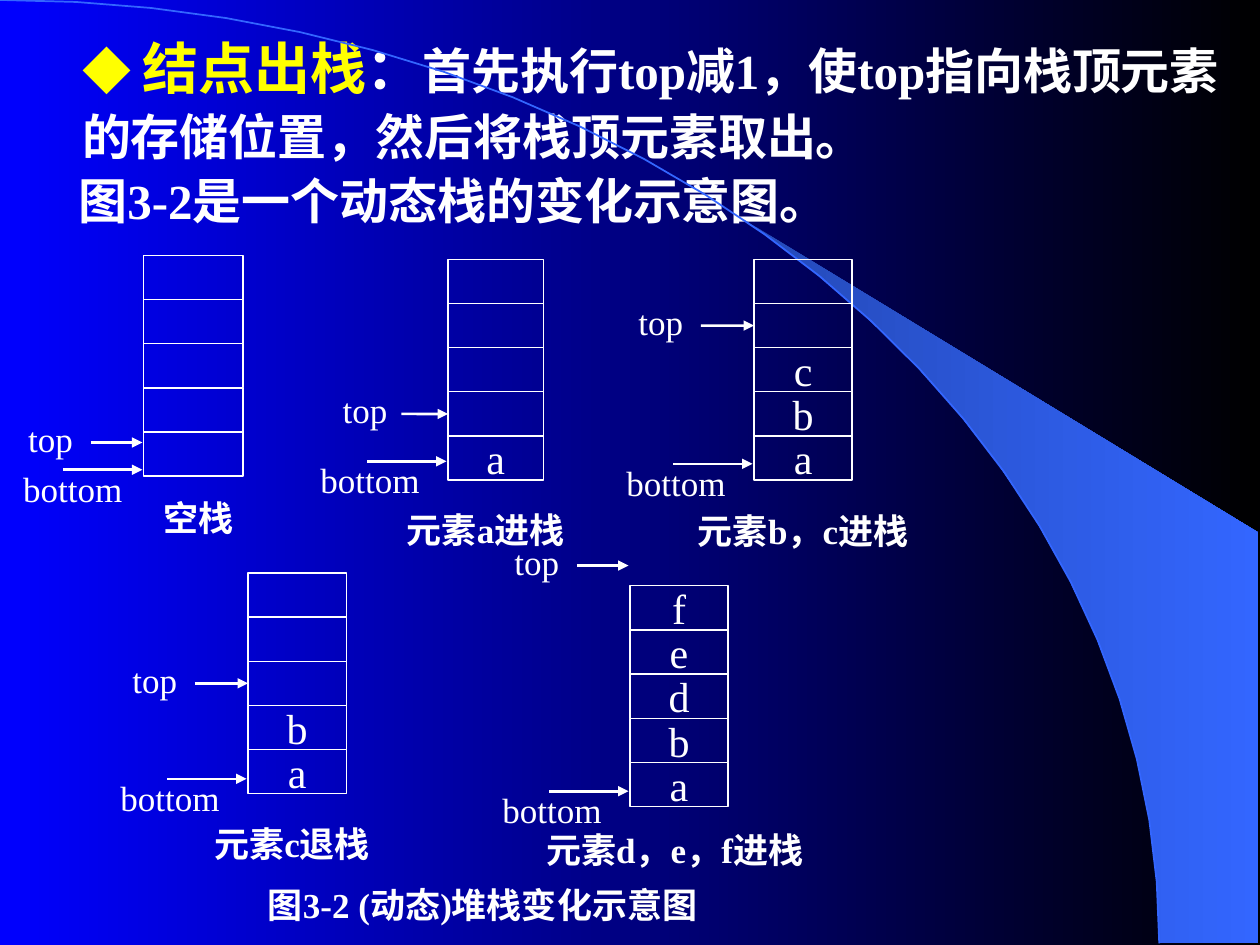
import math
from dataclasses import dataclass
from typing import Optional

import pptx
import pptx.dml.color
import pptx.enum.shapes
import pptx.enum.text
import pptx.oxml
import pptx.oxml.ns
import pptx.util
from pptx.util import Cm, Pt

ALIGN = pptx.enum.text.PP_ALIGN
ANCHOR = pptx.enum.text.MSO_ANCHOR
SHAPES = pptx.enum.shapes.MSO_SHAPE


@dataclass(frozen=True)
class Theme:
    latin: str = "Times New Roman"
    cjk: str = "Noto Sans CJK SC"
    white: str = "FFFFFF"
    yellow: str = "FFFF00"
    blue: str = "0000FF"
    black: str = "000000"
    arc: str = "3366FF"
    arc_dark: str = "2449B6"
    term: int = 32
    body: int = 28
    cell: int = 24
    label: int = 20


@dataclass(frozen=True)
class Stack:
    """One stage of the stack; lengths in cm, items from the bottom up."""
    left: float
    bottom: float
    width: float
    items: str
    bottom_y: float
    caption: str
    caption_x: float
    caption_y: float
    caption_w: float
    top_cell: Optional[int] = None
    top_y: float = 0
    top_start: float = 1.07
    top_label: float = 1.88
    bottom_label: float = 1.57


T = Theme()
CELLS, CELL_H = 5, 0.89
LABEL_H = 1.0

STACKS = [
    Stack(2.9, 9.6, 2.0, "", 9.47, "空栈", 4.0, 10.43, 2.0,
          top_y=8.92, bottom_label=1.43),
    Stack(9.03, 9.68, 1.93, "a", 9.3, "元素a进栈", 9.79, 10.68, 4.2,
          top_cell=1, top_start=0.94, top_label=1.67),
    Stack(15.2, 9.68, 1.98, "abc", 9.35, "元素b，c进栈", 16.19, 10.69, 5.3, top_cell=3),
    Stack(5.0, 16.0, 1.98, "ab", 15.7, "元素c退栈", 5.89, 17.0, 3.8, top_cell=2),
    Stack(12.7, 16.26, 1.98, "abdef", 15.95, "元素d，e，f进栈", 13.6, 17.13, 6.6,
          top_y=11.4),
]


def rgb(color: str):
    return pptx.dml.color.RGBColor.from_string(color)


def format_run(r, size: int, color: str = T.white, bold: bool = False, latin: str = T.latin):
    r.font.size, r.font.bold, r.font.name = Pt(size), bold, latin
    r.font.color.rgb = rgb(color)
    ea = pptx.oxml.parse_xml(f'<a:ea {pptx.oxml.ns.nsdecls("a")} typeface="{T.cjk}"/>')
    r.font._element.find(pptx.oxml.ns.qn("a:latin")).addnext(ea)


def set_gradient(fill, start: str, end: str):
    fill.gradient()
    fill.gradient_angle = 0
    for stop, color, pos in zip(fill.gradient_stops, (start, end), (0, 1)):
        stop.color.rgb, stop.position = rgb(color), pos


def set_text(sp, text: str, size: int, bold: bool = False):
    tf = sp.text_frame
    tf.text, tf.word_wrap, tf.vertical_anchor = text, True, ANCHOR.MIDDLE
    p = tf.paragraphs[0]
    p.alignment = ALIGN.CENTER
    format_run(p.runs[0], size, bold=bold)


def add_label(s, text: str, center: float, top: float, width: float, bold: bool = False):
    sp = s.shapes.add_textbox(Cm(center - width / 2), Cm(top), Cm(width), Cm(LABEL_H))
    sp.text_frame.margin_left = sp.text_frame.margin_right = 0
    set_text(sp, text, T.label, bold)


def add_arrow(s, x1: float, x2: float, y: float, target=None):
    c = s.shapes.add_connector(pptx.enum.shapes.MSO_CONNECTOR.STRAIGHT,
                               Cm(x1), Cm(y), Cm(x2), Cm(y))
    if target is not None:
        c.end_connect(target, 1)
    c.line.color.rgb, c.line.width = rgb(T.white), Pt(1.5)
    ns = pptx.oxml.ns.nsdecls("a")
    c.line._get_or_add_ln().append(pptx.oxml.parse_xml(f'<a:tailEnd {ns} type="triangle"/>'))
    c._element.spPr.append(pptx.oxml.parse_xml(f"<a:effectLst {ns}/>"))


def add_cell(s, k: Stack, i: int):
    sp = s.shapes.add_shape(SHAPES.RECTANGLE, Cm(k.left), Cm(k.bottom - (i + 1) * CELL_H),
                            Cm(k.width), Cm(CELL_H))
    sp.shadow.inherit = False
    sp.fill.background()
    sp.line.color.rgb, sp.line.width = rgb(T.white), Pt(0.75)
    if i < len(k.items):
        set_text(sp, k.items[i], T.cell)
    return sp


def add_stack(s, k: Stack):
    cells = [add_cell(s, k, i) for i in range(CELLS)]
    # Top pointer, joined to its cell when it points at the middle of one
    target, y = None, k.top_y
    if k.top_cell is not None:
        target, y = cells[k.top_cell], k.bottom - (k.top_cell + 0.5) * CELL_H
    add_arrow(s, k.left - k.top_start, k.left - 0.03, y, target)
    add_label(s, "top", k.left - k.top_label, y - 0.58, 1.4)
    # Bottom pointer and caption
    add_arrow(s, k.left - 1.63, k.left - 0.03, k.bottom_y)
    add_label(s, "bottom", k.left - k.bottom_label, k.bottom_y - 0.13, 2.2)
    add_label(s, k.caption, k.caption_x, k.caption_y - LABEL_H / 2, k.caption_w, True)


def arc_points(start: float, steps: int):
    """Quarter ellipse from the given angle down to the slide's bottom edge."""
    rx, ry = 23.37, 19.02
    angles = [start + (math.pi / 2 - start) * i / steps for i in range(steps + 1)]
    return [(Cm(rx * math.sin(a)), Cm(ry * (1 - math.cos(a)))) for a in angles]


def add_outline(s, points, close: bool):
    fb = s.shapes.build_freeform(*points[0])
    fb.add_line_segments(points[1:], close=close)
    sp = fb.convert_to_shape()
    sp.shadow.inherit = False
    return sp


def add_backdrop(s):
    set_gradient(s.background.fill, T.blue, T.black)
    corners = [(Cm(25.37), Cm(19.02)), (Cm(25.37), Cm(10.74))]
    wedge = add_outline(s, arc_points(math.asin(0.64), 13) + corners, True)
    set_gradient(wedge.fill, T.arc_dark, T.arc)
    wedge.line.fill.background()
    arc = add_outline(s, arc_points(0, 24), False)
    arc.fill.background()
    arc.line.color.rgb, arc.line.width = rgb(T.arc), Pt(1)


def fill_body(body):
    body.left, body.top, body.width, body.height = Cm(0.43), Cm(0.43), Cm(24.49), Cm(4.5)
    tf = body.text_frame
    tf.word_wrap, tf.vertical_anchor, tf.margin_top = True, ANCHOR.TOP, Cm(0.32)
    paragraphs = [
        (0.97, [("◆ ", T.body, T.yellow, T.cjk), ("结点出栈", T.term, T.yellow, T.latin),
                ("：", T.term, T.white, T.latin),
                ("首先执行top减1，使top指向栈顶元素的存储位置，然后将栈顶元素取出。",
                 T.body, T.white, T.latin)]),
        (0.9, [("图3-2是一个动态栈的变化示意图。", T.body, T.white, T.latin)]),
    ]
    for i, (margin, runs) in enumerate(paragraphs):
        p = tf.add_paragraph() if i else tf.paragraphs[0]
        pPr = p._p.get_or_add_pPr()
        pPr.set("marL", str(Cm(margin)))
        pPr.set("indent", "0")
        pPr.append(pptx.oxml.parse_xml(f'<a:buNone {pptx.oxml.ns.nsdecls("a")}/>'))
        p.line_spacing, p.space_before = Pt(36.5), Pt(0)
        for text, size, color, latin in runs:
            r = p.add_run()
            r.text = text
            format_run(r, size, color, True, latin)


def main():
    prs = pptx.Presentation()
    prs.slide_width, prs.slide_height = Cm(25.4), Cm(19.05)
    s = prs.slides.add_slide(prs.slide_layouts[1])
    title = s.shapes.title._element
    title.getparent().remove(title)
    add_backdrop(s)
    fill_body(s.placeholders[1])
    for k in STACKS:
        add_stack(s, k)
    # Figure caption
    add_label(s, "图3-2 (动态)堆栈变化示意图", 9.73, 17.73, 9.14, True)
    prs.save("out.pptx")


if __name__ == "__main__":
    main()
